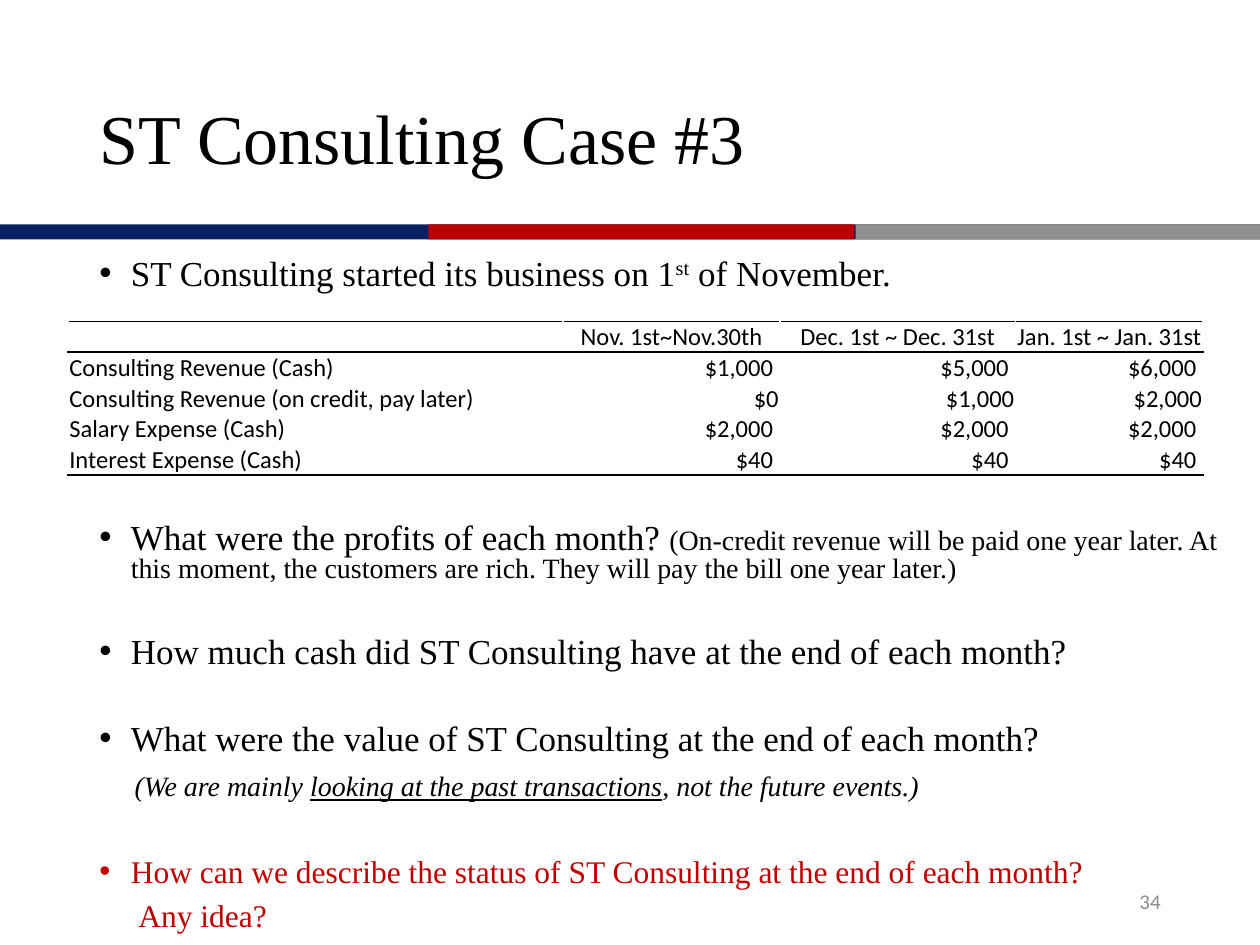
import pptx
import pptx.dml.color
import pptx.enum.shapes
import pptx.enum.text
import pptx.oxml.ns
import pptx.util
from lxml import etree
from pptx.util import Inches

ALIGN = pptx.enum.text.PP_ALIGN
MIDDLE = pptx.enum.text.MSO_ANCHOR.MIDDLE
SERIF, SANS = "Times New Roman", "Calibri"
BLACK, WHITE, RED = "000000", "FFFFFF", "C00000"

STRIPES = [(0, 10, "0A1F62"), (3.4, 3.38, "B90005"), (6.79, 3.21, "8F8F8F")]

COLUMN_WIDTHS = [3.93, 1.72, 1.87, 1.49]
TRANSACTIONS = [
    ["", "Nov. 1st~Nov.30th", "Dec. 1st ~ Dec. 31st", "Jan. 1st ~ Jan. 31st"],
    ["Consulting Revenue (Cash)", "$1,000 ", "$5,000 ", "$6,000 "],
    ["Consulting Revenue (on credit, pay later)", "$0", "$1,000", "$2,000"],
    ["Salary Expense (Cash)", "$2,000 ", "$2,000 ", "$2,000 "],
    ["Interest Expense (Cash)", "$40 ", "$40 ", "$40 "],
]

# Each paragraph: bulleted, left indent (in), line spacing, space before (pt), runs.
# Each run: text, size, colour, further character attributes.
QUESTIONS = [
    (True, 0.25, 20, 0, [
        ("ST Consulting started its business on 1", 20, BLACK, {}),
        ("st", 20, BLACK, {"baseline": "30000"}),
        (" of November.", 20, BLACK, {})]),
    (True, 0.25, 15, 136, [
        ("What were the profits of each month? ", 20, BLACK, {}),
        ("(On-credit revenue will be paid one year later. At this moment, "
         "the customers are rich. They will pay the bill one year later.)",
         16, BLACK, {})]),
    (True, 0.25, 15, 35, [
        ("How much cash did ST Consulting have at the end of each month?",
         20, BLACK, {})]),
    (True, 0.25, 15, 35, [
        ("What were the value of ST Consulting at the end of each month?",
         20, BLACK, {})]),
    (False, 0.28, 15, 10, [
        ("(We are mainly ", 16, BLACK, {"i": "1"}),
        ("looking at the past transactions", 16, BLACK, {"i": "1", "u": "sng"}),
        (", not the future events.)", 16, BLACK, {"i": "1"})]),
    (True, 0.25, 15, 35, [
        ("How can we describe the status of ST Consulting at the end of each month?",
         18, RED, {})]),
    (False, 0.31, 15, 10, [("Any idea?", 18, RED, {})]),
]


def rgb(value):
    return pptx.dml.color.RGBColor.from_string(value)


def add_child(parent, tag, **attributes):
    return etree.SubElement(parent, pptx.oxml.ns.qn(tag), **attributes)


def add_run(paragraph, text, size, font, color=BLACK, attributes=None):
    run = paragraph.add_run()
    run.text = text
    run.font.size = pptx.util.Pt(size)
    run.font.name = font
    run.font.color.rgb = rgb(color)
    for name, value in (attributes or {}).items():
        run.font._element.set(name, value)


def add_frame(slide, left, top, width, height):
    box = slide.shapes.add_textbox(Inches(left), Inches(top), Inches(width), Inches(height))
    box.text_frame.word_wrap = True
    return box.text_frame


def add_line_of_text(slide, box, text, size, font, color, align):
    frame = add_frame(slide, *box)
    frame.vertical_anchor = MIDDLE
    paragraph = frame.paragraphs[0]
    paragraph.alignment = align
    add_run(paragraph, text, size, font, color)
    return paragraph


def add_stripes(slide, top, height):
    for left, width, color in STRIPES:
        stripe = slide.shapes.add_shape(
            pptx.enum.shapes.MSO_SHAPE.RECTANGLE,
            Inches(left), Inches(top), Inches(width), Inches(height))
        stripe.shadow.inherit = False
        stripe.fill.solid()
        stripe.fill.fore_color.rgb = rgb(color)
        stripe.line.fill.background()


def add_questions(slide, left, top, width, height):
    frame = add_frame(slide, left, top, width, height)
    for index, (bulleted, indent, spacing, before, runs) in enumerate(QUESTIONS):
        paragraph = frame.add_paragraph() if index else frame.paragraphs[0]
        paragraph.line_spacing = pptx.util.Pt(spacing)
        if before:
            paragraph.space_before = pptx.util.Pt(before)
        properties = paragraph._p.get_or_add_pPr()
        properties.set("marL", str(Inches(indent)))
        properties.set("indent", str(-Inches(indent) if bulleted else 0))
        if bulleted:
            add_child(properties, "a:buFont", typeface="Arial")
            add_child(properties, "a:buChar", char="•")
        for text, size, color, attributes in runs:
            add_run(paragraph, text, size, SERIF, color, attributes)


def set_borders(cell, top, bottom):
    properties = cell._tc.get_or_add_tcPr()
    for side, color in (("L", WHITE), ("R", WHITE), ("T", top), ("B", bottom)):
        line = add_child(properties, "a:ln" + side, w=str(pptx.util.Pt(1)))
        add_child(add_child(line, "a:solidFill"), "a:srgbClr", val=color)


def fill_cell(cell, text, align):
    cell.margin_left = cell.margin_right = cell.margin_top = Inches(0.01)
    cell.margin_bottom = 0
    cell.vertical_anchor = MIDDLE
    cell.fill.background()
    paragraph = cell.text_frame.paragraphs[0]
    paragraph.alignment = align
    if text:
        add_run(paragraph, text, 14, SANS)
    else:
        add_child(paragraph._p, "a:endParaRPr", sz="1400")


def add_transactions(slide, left, top, width, height):
    rows, columns = len(TRANSACTIONS), len(COLUMN_WIDTHS)
    table = slide.shapes.add_table(
        rows, columns, Inches(left), Inches(top), Inches(width), Inches(height)).table
    table.first_row = table.horz_banding = False
    for column, column_width in zip(table.columns, COLUMN_WIDTHS):
        column.width = Inches(column_width)
    for r, values in enumerate(TRANSACTIONS):
        for c, text in enumerate(values):
            cell = table.cell(r, c)
            set_borders(cell, BLACK if r < 2 else WHITE,
                        BLACK if r in (0, rows - 1) else WHITE)
            align = ALIGN.LEFT if c == 0 else ALIGN.CENTER if r == 0 else ALIGN.RIGHT
            fill_cell(cell, text, align)


def main():
    presentation = pptx.Presentation()
    presentation.slide_width, presentation.slide_height = Inches(10), Inches(7.5)
    slide = presentation.slides.add_slide(presentation.slide_layouts[6])
    add_stripes(slide, 1.78, 0.12)
    title = add_line_of_text(slide, (0.69, 0.4, 8.87, 1.45), "ST Consulting Case #3",
                             40, SERIF, BLACK, ALIGN.LEFT)
    title.line_spacing = 0.9
    add_questions(slide, 0.69, 2, 9.2, 4.76)
    add_line_of_text(slide, (7.06, 6.95, 2.25, 0.4), "34", 12, SANS, "8C8C8C", ALIGN.RIGHT)
    add_transactions(slide, 0.54, 2.55, 9.01, 1.22)
    presentation.save("out.pptx")


if __name__ == "__main__":
    main()
